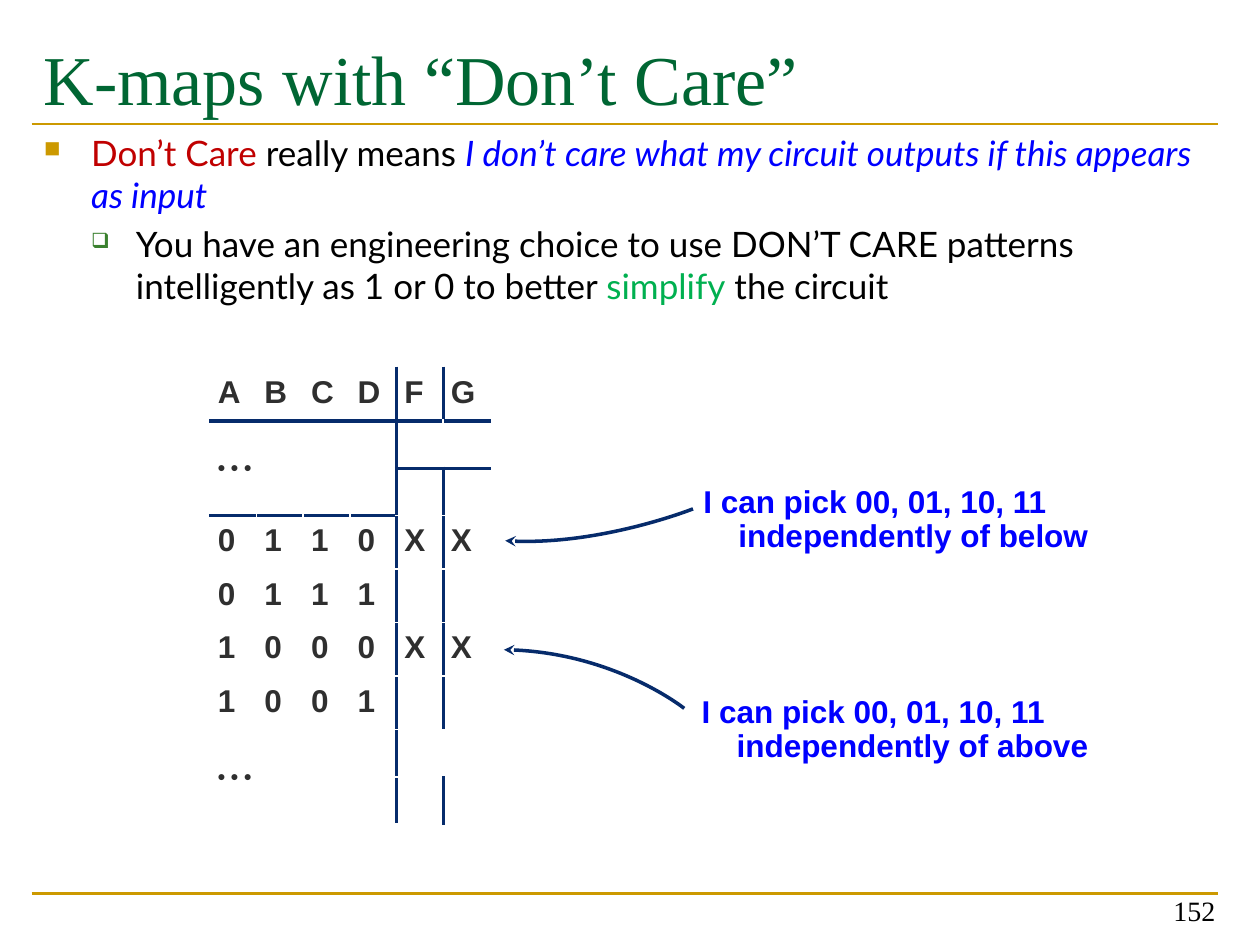
import dataclasses

import lxml.etree
import pptx
import pptx.dml.color
import pptx.enum.shapes
import pptx.enum.text
import pptx.oxml.ns
import pptx.util

Pt = pptx.util.Pt
qn = pptx.oxml.ns.qn
Align = pptx.enum.text.PP_ALIGN
Anchor = pptx.enum.text.MSO_ANCHOR


@dataclasses.dataclass(frozen=True)
class Theme:
    serif: str = "Times New Roman"
    body: str = "Lato"
    sans: str = "Arial"
    green: str = "006633"
    gold: str = "CC9900"
    moss: str = "3B812F"
    red: str = "C00000"
    blue: str = "0000FF"
    lime: str = "00B050"
    navy: str = "062B6B"
    ink: str = "2F2F2F"
    black: str = "000000"
    title_size: float = 40
    body_size: float = 20
    label_size: float = 18
    number_size: float = 16
    dots_size: float = 12


def rgb(value):
    return pptx.dml.color.RGBColor.from_string(value)


def add_xml(parent, tag, **attributes):
    return lxml.etree.SubElement(parent, qn(tag), attributes)


class SlideWriter:
    def __init__(self, page, theme):
        self.page = page
        self.theme = theme

    def span(self, para, text, font, size, color, bold=False, italic=False):
        run = para.add_run()
        run.text = text
        run.font.name = font
        run.font.size = Pt(size)
        run.font.color.rgb = rgb(color)
        run.font.bold = bold
        run.font.italic = italic

    def box(self, left, top, width, height, inset=None, anchor=Anchor.TOP):
        frame = self.page.shapes.add_textbox(
            Pt(left), Pt(top), Pt(width), Pt(height)).text_frame
        frame.word_wrap = True
        frame.vertical_anchor = anchor
        if inset is not None:
            self.set_margins(frame, inset)
        return frame

    def set_margins(self, holder, inset):
        for side in ("left", "right", "top", "bottom"):
            setattr(holder, f"margin_{side}", Pt(inset))

    def indent(self, para, margin, first=0):
        props = para._p.get_or_add_pPr()
        props.set("marL", str(Pt(margin)))
        props.set("indent", str(Pt(first)))
        return props

    def bullet(self, para, mark, color, percent, margin, hang):
        props = self.indent(para, margin, -hang)
        add_xml(add_xml(props, "a:buClr"), "a:srgbClr", val=color)
        add_xml(props, "a:buSzPct", val=str(percent * 1000))
        add_xml(props, "a:buChar", char=mark)

    def rule(self, y):
        line = self.page.shapes.add_connector(
            pptx.enum.shapes.MSO_CONNECTOR.STRAIGHT, Pt(18), Pt(y), Pt(696), Pt(y))
        line.line.color.rgb = rgb(self.theme.gold)
        line.line.width = Pt(1.5)
        add_xml(line._element.spPr, "a:effectLst")

    def callout(self, left, top, first, second):
        theme = self.theme
        frame = self.box(left, top, 237, 47.5, inset=4.5)
        for para, text, margin in ((frame.paragraphs[0], first, 2.9),
                                   (frame.add_paragraph(), second, 22.9)):
            self.indent(para, margin)
            para.line_spacing = 0.9
            self.span(para, text, theme.sans, theme.label_size, theme.blue, bold=True)

    def curved_arrow(self, start, *controls_and_end):
        """Draw one cubic curve that ends in an arrowhead."""
        builder = self.page.shapes.build_freeform(Pt(start[0]), Pt(start[1]))
        builder.add_line_segments(
            [(Pt(x), Pt(y)) for x, y in controls_and_end], close=False)
        curve = builder.convert_to_shape()
        curve.shadow.inherit = False
        curve.fill.background()
        curve.line.color.rgb = rgb(self.theme.navy)
        curve.line.width = Pt(2)
        add_xml(curve._element.spPr.find(qn("a:ln")), "a:tailEnd", type="stealth")
        outline = next(curve._element.iter(qn("a:path")))
        segments = outline.findall(qn("a:lnTo"))
        bezier = add_xml(outline, "a:cubicBezTo")
        for segment in segments:
            bezier.append(segment[0])
            outline.remove(segment)

    def border(self, cell, edges):
        """Rule the named edges, given in the order L, R, T, B."""
        props = cell._tc.get_or_add_tcPr()
        for edge in edges:
            line = add_xml(props, f"a:ln{edge}", w=str(Pt(2)))
            add_xml(add_xml(line, "a:solidFill"), "a:srgbClr", val=self.theme.navy)

    def truth_table(self, left, top, rows, inputs, dots):
        theme = self.theme
        columns = len(rows[0])
        column_width, row_height = 26.65, 27
        table = self.page.shapes.add_table(
            len(rows), columns, Pt(left), Pt(top),
            Pt(column_width * columns), Pt(row_height * len(rows))).table
        table.first_row = table.horz_banding = False
        for column in table.columns:
            column.width = Pt(column_width)
        for r, row in enumerate(rows):
            table.rows[r].height = Pt(row_height)
            for c, text in enumerate(row.ljust(columns)):
                cell = table.cell(r, c)
                starts_dots = text == "."
                edges = [("L", c == inputs), ("R", c == inputs - 1 or starts_dots),
                         ("T", r == 1), ("B", r == 0)]
                self.border(cell, [edge for edge, shown in edges if shown])
                cell.fill.background()
                self.set_margins(cell, 4.5)
                para = cell.text_frame.paragraphs[0]
                if starts_dots:
                    cell.merge(table.cell(r + 1, inputs - 1))
                    cell.vertical_anchor = Anchor.MIDDLE
                    self.span(para, dots, theme.sans, theme.dots_size, theme.ink, bold=True)
                elif text != " ":
                    self.span(para, text, theme.sans, theme.label_size, theme.ink, bold=True)
                else:
                    add_xml(para._p, "a:endParaRPr", sz=str(theme.dots_size * 100))


def main():
    theme = Theme()
    deck = pptx.Presentation()
    deck.slide_width, deck.slide_height = Pt(720), Pt(540)
    writer = SlideWriter(deck.slides.add_slide(deck.slide_layouts[6]), theme)

    for y in (510.5, 70.9):
        writer.rule(y)

    title = writer.box(18, 16.5, 678, 54)
    writer.span(title.paragraphs[0], "K-maps with “Don’t Care”",
                theme.serif, theme.title_size, theme.green)

    body = writer.box(18, 71.5, 678, 412)
    point = body.paragraphs[0]
    writer.bullet(point, "■", theme.gold, 65, margin=27, hang=27)
    detail = body.add_paragraph()
    writer.bullet(detail, "❑", theme.moss, 60, margin=52.6, hang=25.6)
    detail.space_before = Pt(4)
    for para, text, color, italic in (
            (point, "Don’t Care ", theme.red, False),
            (point, "really means ", theme.black, False),
            (point, "I don’t care what my circuit outputs if this appears as input",
             theme.blue, True),
            (detail, "You have an engineering choice to use DON’T CARE patterns "
                     "intelligently as 1 or 0 to better ", theme.black, False),
            (detail, "simplify", theme.lime, False),
            (detail, " the circuit", theme.black, False)):
        writer.span(para, text, theme.body, theme.body_size, color, italic=italic)

    number = writer.box(533.5, 497.5, 168, 36, anchor=Anchor.BOTTOM).paragraphs[0]
    number.alignment = Align.RIGHT
    writer.span(number, "152", theme.serif, theme.number_size, theme.black)

    choice = "I can pick 00, 01, 10, 11"
    writer.callout(394.5, 273.6, choice, "independently of below")
    writer.callout(393.5, 393.6, choice, "independently of above")

    writer.truth_table(120, 210, ["ABCDFG", ".", "", "0110XX", "0111",
                                  "1000XX", "1001", ".", ""],
                       inputs=4, dots="• • •")

    writer.curved_arrow((396, 290.8), (396, 290.8), (341.3, 312.5), (288.7, 309))
    writer.curved_arrow((391, 404.8), (391, 404.8), (350, 372), (288, 371.3))

    deck.save("out.pptx")


if __name__ == "__main__":
    main()
